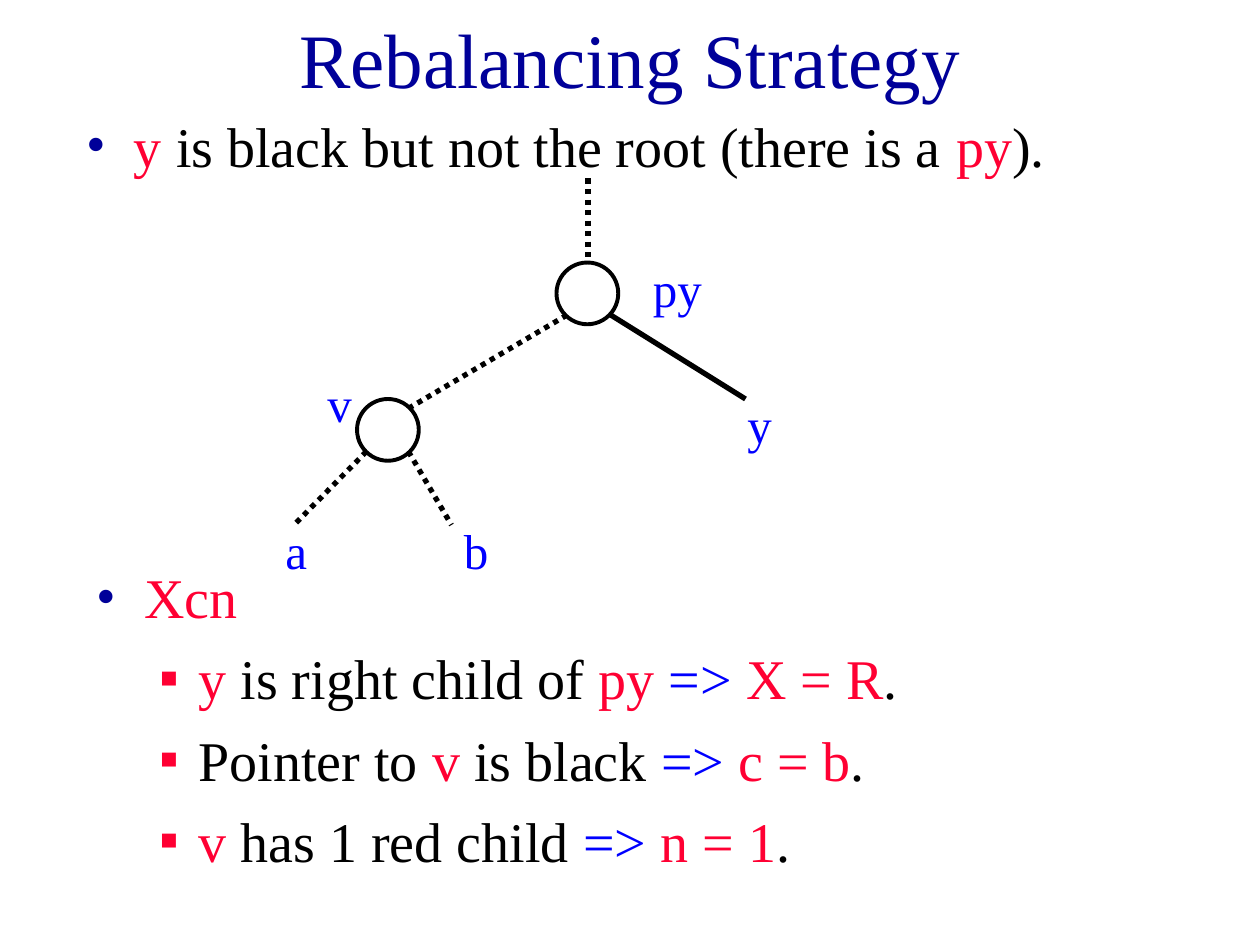
from pptx import Presentation
from pptx.dml.color import RGBColor as RGB
from pptx.enum.dml import MSO_LINE as Dash
from pptx.enum.shapes import MSO_CONNECTOR as Link, MSO_SHAPE as Form
from pptx.enum.text import MSO_ANCHOR as Anchor, MSO_AUTO_SIZE as Fit, PP_ALIGN as Align
from pptx.oxml.ns import qn
from pptx.util import Inches, Pt
from lxml.etree import SubElement

theme = dict(
    font="Times New Roman", title=44, body=32, label=28,
    navy=RGB(0, 0, 0x99), red=RGB(0xFF, 0, 0x33),
    blue=RGB(0, 0, 0xFF), black=RGB(0, 0, 0),
)

deck = Presentation()
deck.slide_width, deck.slide_height = Inches(10), Inches(7.5)
cell = deck.slide_width / 120  # grid of 120 columns and 90 rows


def grid(*spans):
    return [round(n * cell) for n in spans]


def write(box, runs, size, first=True, align=Align.LEFT, gap=0, level=0, bullet=None):
    """Add one paragraph of (text, colour) runs; bullet is (sign, colour, margin, hang)."""
    frame = box.text_frame
    frame.word_wrap, frame.auto_size = True, Fit.NONE
    para = frame.paragraphs[0] if first else frame.add_paragraph()
    para.alignment, para.level = align, level
    para.space_before, para.line_spacing = Pt(gap), 1.0
    if bullet:
        sign, tint, margin, hang = bullet
        props = para._p.get_or_add_pPr()
        props.set("marL", str(Inches(margin)))
        props.set("indent", str(-Inches(hang)))
        paint = SubElement(props, qn("a:buClr"))
        SubElement(paint, qn("a:srgbClr"), val=str(theme[tint]))
        SubElement(props, qn("a:buFont"), typeface=theme["font"])
        SubElement(props, qn("a:buChar"), char=sign)
    for text, tint in runs:
        run = para.add_run()
        run.text = text
        font = run.font
        font.name, font.size = theme["font"], Pt(theme[size])
        font.color.rgb = theme[tint]


slide = deck.slides.add_slide(deck.slide_layouts[3])
title, intro, points = slide.placeholders
areas = [(9, 2, 102, 7), (7, 10, 102, 11), (8, 53, 102, 24)]
for box, area in zip((title, intro, points), areas):
    box.left, box.top, box.width, box.height = grid(*area)

# Title and lists
write(title, [("Rebalancing Strategy", "navy")], "title", align=Align.CENTER)
title.text_frame.vertical_anchor = Anchor.MIDDLE

dot = ("•", "navy", 0.38, 0.38)
square = ("▪", "red", 0.81, 0.31)
write(intro, [("y", "red"), (" is black but not the root (there is a ", "black"),
              ("py", "red"), (").", "black")], "body", gap=8, bullet=dot)
write(points, [("Xcn", "red")], "body", gap=8, bullet=dot)
cases = [
    ([("y", "red"), (" is right child of ", "black"), ("py ", "red")], " X = R"),
    ([("Pointer to ", "black"), ("v", "red"), (" is black ", "black")], " c = b"),
    ([("v", "red"), (" has 1 red child ", "black")], " n = 1"),
]
for fact, result in cases:
    runs = fact + [("=>", "blue"), (result, "red"), (".", "black")]
    write(points, runs, "body", first=False, gap=8, level=1, bullet=square)

# Tree: nodes, edges, labels
for left, top in [(53, 25), (34, 38)]:
    node = slide.shapes.add_shape(Form.OVAL, *grid(left, top, 5.88, 5.88))
    node.shadow.inherit = False
    node.fill.background()
    node.line.color.rgb, node.line.width = theme["black"], Pt(2.25)

edges = [
    (54, 30, 38.9, 38.9, True),
    (58, 29.9, 71, 38, False),
    (34.9, 43, 28, 50, True),
    (38.9, 43, 43, 50, True),
    (56, 17, 56, 25, True),
]
for *ends, dotted in edges:
    edge = slide.shapes.add_connector(Link.STRAIGHT, *grid(*ends))
    edge.line.color.rgb, edge.line.width = theme["black"], Pt(3)
    if dotted:
        edge.line.dash_style = Dash.ROUND_DOT
    SubElement(edge._element.spPr, qn("a:effectLst"))

labels = [("a", 26, 49, 6), ("b", 43, 49, 6), ("y", 70, 37, 6),
          ("py", 61, 24, 10), ("v", 30, 35, 6)]
for name, left, top, width in labels:
    tag = slide.shapes.add_textbox(*grid(left, top, width, 6.84))
    write(tag, [(name, "blue")], "label")

deck.save("out.pptx")
